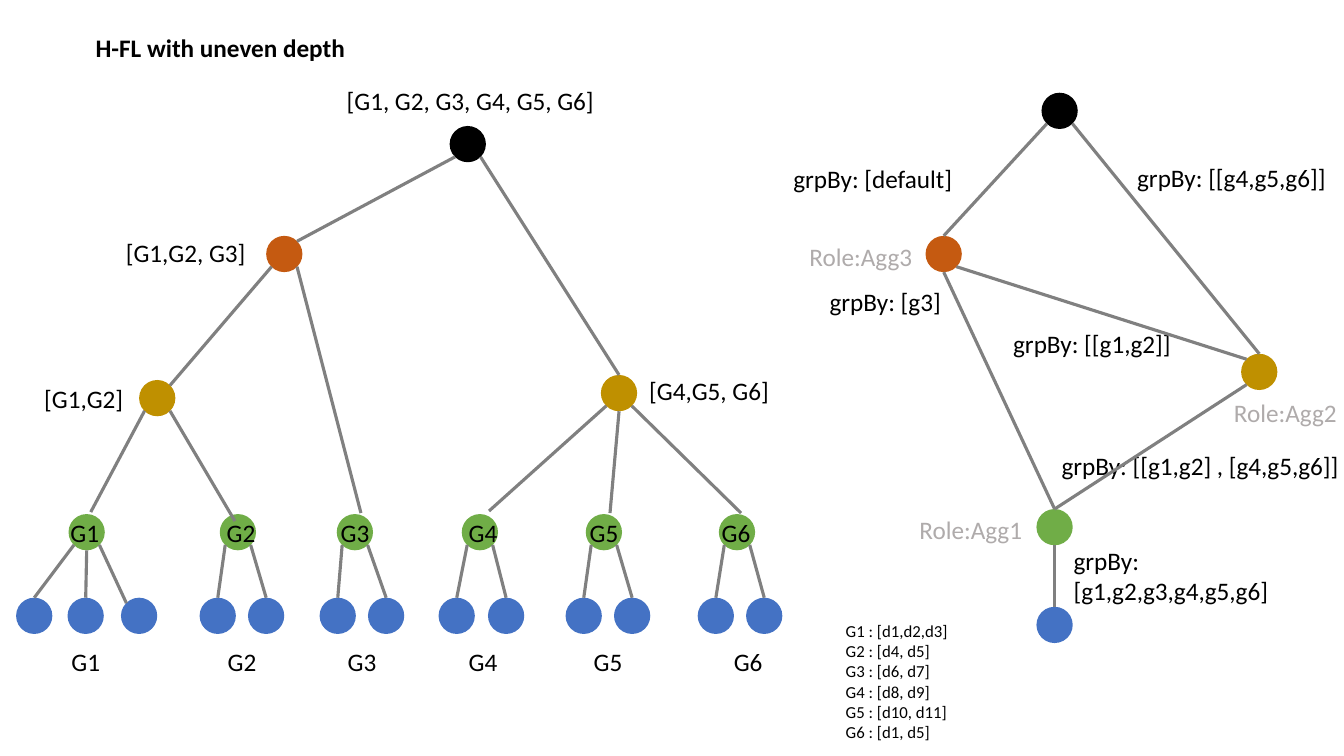
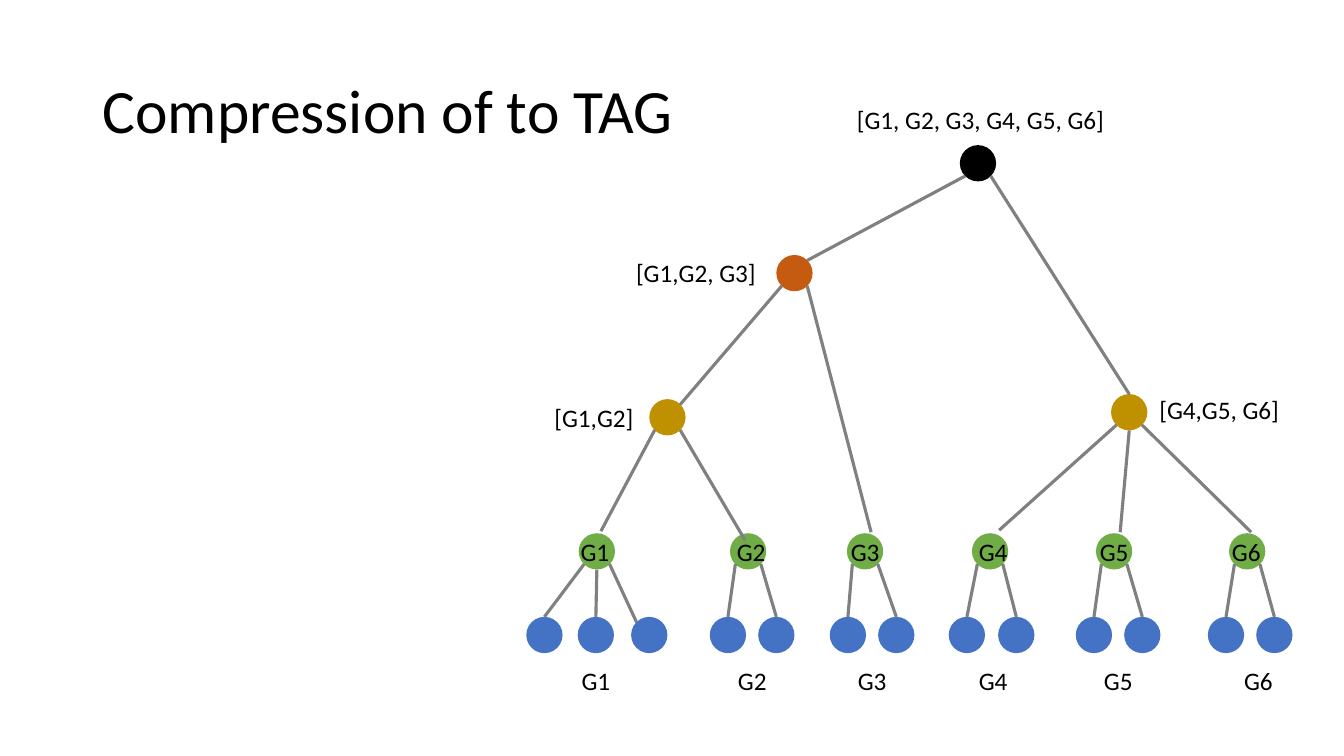
from dataclasses import dataclass

import pptx
import pptx.dml.color
import pptx.enum.shapes
import pptx.enum.text
import pptx.util
from lxml import etree
from pptx.util import Inches


@dataclass(frozen=True)
class Theme:
    font: str = "Calibri"
    text: str = "000000"
    role: str = "AFABAB"
    line: str = "808080"
    root: str = "000000"
    upper: str = "C55A11"
    middle: str = "BF9000"
    group: str = "70AD47"
    leaf: str = "4472C4"
    title_size: int = 44
    body_size: int = 18
    small_size: int = 12
    line_width: float = 2.25
    node: float = 0.36


THEME = Theme()

# Points on a node's circle, as fractions of its diameter
PORTS = {
    "top": (0.5, 0),
    "top left": (0.15, 0.15),
    "top right": (0.85, 0.15),
    "bottom": (0.5, 1),
    "bottom left": (0.15, 0.85),
    "bottom right": (0.85, 0.85),
}


@dataclass(frozen=True)
class Group:
    name: str
    left: float
    label_left: float
    caption_left: float
    parent: str
    parent_port: str
    tip: tuple
    leaf_lefts: tuple


GROUPS = [
    Group("G1", 0.52, 0.44, 0.45, "G1-2", "bottom left", (0.74, 4.28), (0, 0.51, 1.04)),
    Group("G2", 2.02, 1.99, 2.00, "G1-2", "bottom right", (2.17, 4.37), (1.82, 2.30)),
    Group("G3", 3.18, 3.12, 3.19, "G1-3", "bottom right", (3.42, 4.29), (3.01, 3.49)),
    Group("G4", 4.42, 4.39, 4.39, "G4-6", "bottom left", (4.69, 4.27), (4.19, 4.68)),
    Group("G5", 5.65, 5.59, 5.63, "G4-6", "bottom", (5.89, 4.29), (5.45, 5.93)),
    Group("G6", 6.97, 6.90, 7.02, "G4-6", "bottom right", (7.19, 4.29), (6.76, 7.24)),
]

# Name: left, top, colour
TREE_NODES = {
    "root": (4.30, 0.45, THEME.root),
    "G1-3": (2.48, 1.54, THEME.upper),
    "G1-2": (1.22, 2.97, THEME.middle),
    "G4-6": (5.80, 2.92, THEME.middle),
}
TREE_EDGES = [
    ("root", "bottom left", "G1-3", "top right"),
    ("root", "bottom right", "G4-6", "top"),
    ("G1-3", "bottom left", "G1-2", "top right"),
]
# Text, left, top, width
TREE_LABELS = [
    ("[G1, G2, G3, G4, G5, G6]", 3.18, 0, 2.76),
    ("[G1,G2, G3]", 0.99, 1.51, 1.62),
    ("[G1,G2]", 0.18, 2.95, 1.08),
    ("[G4,G5, G6]", 6.18, 2.87, 1.42),
]

ROLE_NODES = {
    "root": (2.56, 0, THEME.root),
    "Agg3": (1.41, 1.42, THEME.upper),
    "Agg2": (4.54, 2.59, THEME.middle),
    "Agg1": (2.51, 4.13, THEME.group),
    "leaf": (2.51, 5.10, THEME.leaf),
}
ROLE_EDGES = [
    ("root", "bottom left", "Agg3", "top"),
    ("root", "bottom right", "Agg2", "top"),
    ("Agg3", "bottom", "Agg1", "top"),
    ("Agg3", "bottom right", "Agg2", "top left"),
    ("Agg2", "bottom left", "Agg1", "top"),
    ("Agg1", "bottom", "leaf", "top"),
]
GROUPING_LABELS = [
    ("grpBy: [default]", 0, 0.65, 1.86),
    ("grpBy: [[g4,g5,g6]]", 3.41, 0.64, 2.22),
    ("grpBy: [g3]", 0.36, 1.87, 1.35),
    ("grpBy: [[g1,g2]]", 2.18, 2.29, 1.81),
    ("grpBy: [[g1,g2] , [g4,g5,g6]]", 2.66, 3.50, 3.01),
    ("grpBy: [g1,g2,g3,g4,g5,g6]", 2.78, 4.44, 2.26),
]
ROLE_LABELS = [
    ("Role:Agg3", 0.16, 1.42, 1.35),
    ("Role:Agg2", 4.37, 2.97, 1.35),
    ("Role:Agg1", 1.25, 4.13, 1.35),
]
DEVICES = [
    "G1 : [d1,d2,d3]",
    "G2 : [d4, d5]",
    "G3 : [d6, d7]",
    "G4 : [d8, d9]",
    "G5 : [d10, d11]",
    "G6 : [d1, d5]",
]


def rgb(value):
    return pptx.dml.color.RGBColor.from_string(value)


def add_text(slide, lines, left, top, width, height=0.4, size=THEME.body_size,
             color=THEME.text, bold=False):
    shape = slide.shapes.add_textbox(Inches(left), Inches(top), Inches(width), Inches(height))
    frame = shape.text_frame
    frame.word_wrap = True
    frame.text = "\n".join(lines)
    for paragraph in frame.paragraphs:
        font = paragraph.font
        font.name, font.size, font.bold = THEME.font, pptx.util.Pt(size), bold
        font.color.rgb = rgb(color)
    return frame


class Diagram:
    """Nodes, edges and labels placed relative to a left top corner."""

    def __init__(self, slide, left, top):
        self.slide, self.left, self.top = slide, left, top
        self.nodes = {}

    def add_node(self, name, left, top, color):
        self.nodes[name] = (left, top)
        shape = self.slide.shapes.add_shape(
            pptx.enum.shapes.MSO_SHAPE.OVAL, Inches(self.left + left), Inches(self.top + top),
            Inches(THEME.node), Inches(THEME.node))
        shape.shadow.inherit = False
        shape.fill.solid()
        shape.fill.fore_color.rgb = rgb(color)
        shape.line.fill.background()

    def add_label(self, text, left, top, width, color=THEME.text):
        add_text(self.slide, [text], self.left + left, self.top + top, width, color=color)

    def port(self, name, side):
        left, top = self.nodes[name]
        across, down = PORTS[side]
        return left + across * THEME.node, top + down * THEME.node

    def add_edge(self, start, end):
        connector = self.slide.shapes.add_connector(
            pptx.enum.shapes.MSO_CONNECTOR.STRAIGHT,
            Inches(self.left + start[0]), Inches(self.top + start[1]),
            Inches(self.left + end[0]), Inches(self.top + end[1]))
        connector.line.color.rgb = rgb(THEME.line)
        connector.line.width = pptx.util.Pt(THEME.line_width)
        etree.SubElement(connector._element.spPr, pptx.oxml.ns.qn("a:effectLst"))

    def add_nodes(self, nodes):
        for name, (left, top, color) in nodes.items():
            self.add_node(name, left, top, color)

    def add_edges(self, edges):
        for start, start_side, end, end_side in edges:
            self.add_edge(self.port(start, start_side), self.port(end, end_side))


def add_group(diagram, group):
    group_top, leaf_top, caption_top = 4.30, 5.13, 5.56
    diagram.add_node(group.name, group.left, group_top, THEME.group)
    diagram.add_label(group.name, group.label_left, group_top - 0.02, 0.59)
    diagram.add_label(group.name, group.caption_left, caption_top, 0.59)
    diagram.add_edge(diagram.port(group.parent, group.parent_port), group.tip)

    # Leaves: three fan out from the group, two hang from its sides
    if len(group.leaf_lefts) == 3:
        sides = [("bottom left", "top"), ("bottom", "top"), ("bottom right", "top left")]
    else:
        sides = [("bottom left", "top"), ("bottom right", "top")]
    for number, (left, (start, end)) in enumerate(zip(group.leaf_lefts, sides)):
        leaf = f"{group.name} leaf {number}"
        diagram.add_node(leaf, left, leaf_top, THEME.leaf)
        diagram.add_edge(diagram.port(group.name, start), diagram.port(leaf, end))


def add_tree(slide, left, top):
    diagram = Diagram(slide, left, top)
    diagram.add_nodes(TREE_NODES)
    for label in TREE_LABELS:
        diagram.add_label(*label)
    diagram.add_edges(TREE_EDGES)
    for group in GROUPS:
        add_group(diagram, group)


def add_role_graph(slide, left, top):
    diagram = Diagram(slide, left, top)
    diagram.add_nodes(ROLE_NODES)
    for label in GROUPING_LABELS:
        diagram.add_label(*label)
    for label in ROLE_LABELS:
        diagram.add_label(*label, color=THEME.role)
    diagram.add_edges(ROLE_EDGES)
    # Devices of each group
    add_text(slide, DEVICES, left + 0.52, top + 5.19, 1.76, 1.31, THEME.small_size)


def add_uneven_depth_slide(slide):
    add_text(slide, ["H-FL with uneven depth"], 0.85, 0.27, 5.33, bold=True)
    add_tree(slide, 0.16, 0.80)
    add_role_graph(slide, 7.77, 0.92)


def add_compression_slide(slide):
    frame = add_text(slide, ["Compression of to TAG"], 0.92, 0.40, 11.5, 1.45, THEME.title_size)
    frame.vertical_anchor = pptx.enum.text.MSO_ANCHOR.MIDDLE
    frame.paragraphs[0].line_spacing = 0.9
    add_tree(slide, 5.22, 0.99)


def main():
    presentation = pptx.Presentation()
    presentation.slide_width, presentation.slide_height = Inches(13.33), Inches(7.5)
    blank = presentation.slide_layouts[6]
    for fill_slide in (add_uneven_depth_slide, add_compression_slide):
        fill_slide(presentation.slides.add_slide(blank))
    presentation.save("out.pptx")


if __name__ == "__main__":
    main()
